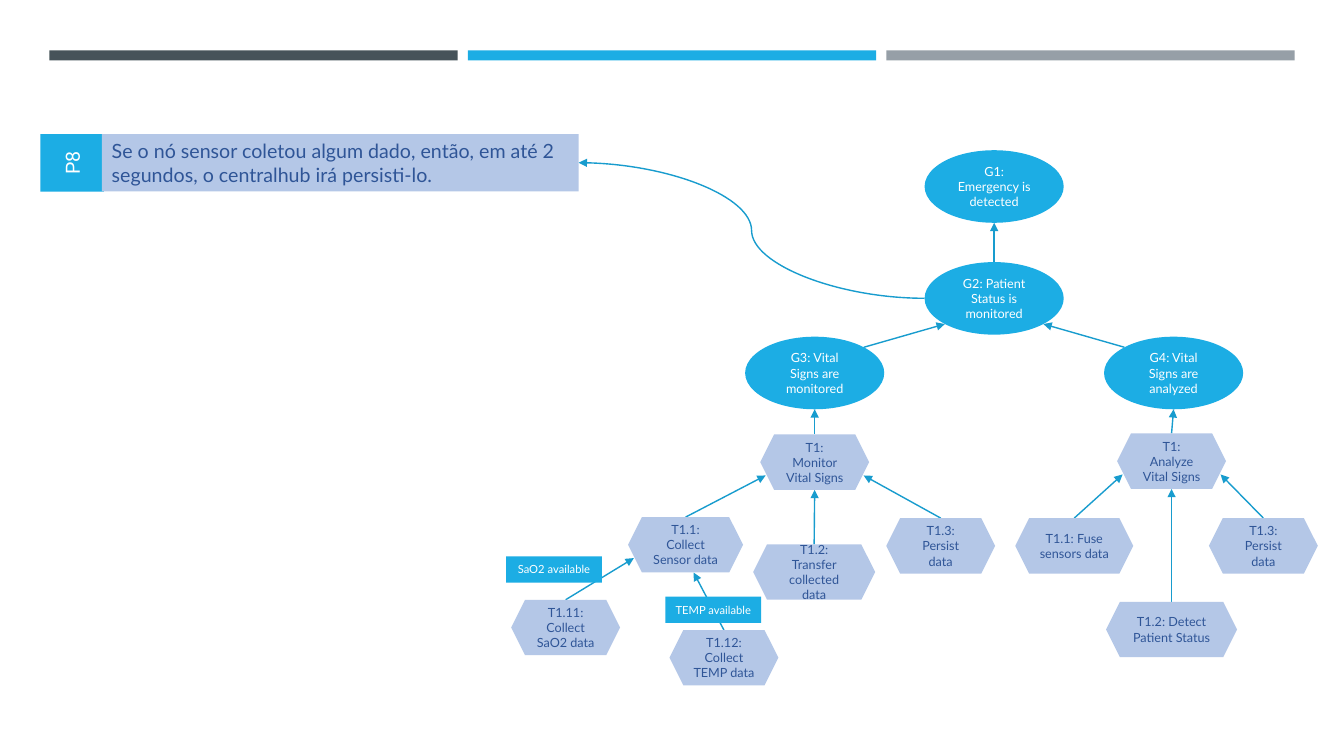
from lxml.etree import SubElement
from pptx import Presentation
from pptx.dml.color import RGBColor
from pptx.enum.shapes import MSO_CONNECTOR, MSO_SHAPE
from pptx.enum.text import MSO_ANCHOR, PP_ALIGN
from pptx.oxml.ns import qn
from pptx.util import Inches, Pt

HUES = {"blue": "1CADE4", "pale": "B4C7E7", "navy": "2F5597", "line": "189CCE",
        "white": "FFFFFF", "slate": "465359", "gray": "969FA7"}

GOAL, TASK = (1.38, 0.72), 0.55
NODES = {
    "detect": ("G1: Emergency is detected", 4.17, 0.49, None),
    "status": ("G2: Patient Status is monitored", 4.17, 1.6, None),
    "vitals": ("G3: Vital Signs are monitored", 2.39, 2.34, None),
    "study": ("G4: Vital Signs are analyzed", 5.95, 2.34, None),
    "watch": ("T1: Monitor Vital Signs", 2.54, 3.31, 1.08),
    "sensor": ("T1.1: Collect Sensor data", 1.23, 4.13, 1.14),
    "send": ("T1.2: Transfer collected data", 2.47, 4.4, 1.21),
    "store": ("T1.3: Persist data", 3.79, 4.14, 1.08),
    "oxygen": ("T1.11: Collect SaO2 data", 0.07, 4.95, 1.08),
    "temp": ("T1.12: Collect TEMP data", 1.64, 5.25, 1.08),
    "check": ("T1: Analyze Vital Signs", 6.08, 3.3, 1.08),
    "fuse": ("T1.1: Fuse sensors data", 5.07, 4.14, 1.17),
    "find": ("T1.2: Detect Patient Status", 5.97, 4.97, 1.3),
    "keep": ("T1.3: Persist data", 6.99, 4.14, 1.08),
}
SITES = {"top": (0.5, 0), "foot": (0.5, 1), "side": (0, 0.5),
         "low left": (0.05, 0.74), "low right": (0.95, 0.74), "near foot": (0.57, 1),
         "arc nw": (0.146, 0.146), "arc ne": (0.854, 0.146),
         "arc sw": (0.146, 0.854), "arc se": (0.854, 0.854)}
LINKS = [
    ("status", "top", "detect", "foot"),
    ("vitals", "arc ne", "status", "arc sw"),
    ("study", "arc nw", "status", "arc se"),
    ("watch", "top", "vitals", "foot"),
    ("sensor", "top", "watch", "low left"),
    ("send", "top", "watch", "foot"),
    ("store", "top", "watch", "low right"),
    ("oxygen", "top", "sensor", "low left"),
    ("temp", "top", "sensor", "near foot"),
    ("check", "top", "study", "foot"),
    ("fuse", "top", "check", "low left"),
    ("find", "top", "check", "foot"),
    ("keep", "top", "check", "low right"),
]
TAGS = [("SaO2 available", 0.02, 4.52), ("TEMP available", 1.6, 4.92)]


def tint(name):
    """Return the named colour."""
    return RGBColor.from_string(HUES[name])


def block(slide, kind, box, fill, text="", ink="white", size=9, face="Lato"):
    """Add a filled shape with optional centred text."""
    shape = slide.shapes.add_shape(kind, *map(Inches, box))
    shape.shadow.inherit = False
    shape.fill.solid()
    shape.fill.fore_color.rgb = tint(fill)
    shape.line.fill.background()
    if text:
        frame = shape.text_frame
        frame.word_wrap = True
        frame.vertical_anchor = MSO_ANCHOR.MIDDLE
        para = frame.paragraphs[0]
        para.text = text
        para.alignment = PP_ALIGN.CENTER
        para.font.size = Pt(size)
        para.font.name = face
        para.font.color.rgb = tint(ink)
    return shape


def arrow(slide, start, end, kind=MSO_CONNECTOR.STRAIGHT):
    """Add a connector with an arrowhead at its end."""
    link = slide.shapes.add_connector(kind, *map(Inches, (*start, *end)))
    link.line.color.rgb = tint("line")
    link.line.width = Pt(1)
    SubElement(link.line._get_or_add_ln(), qn("a:tailEnd"), type="triangle")
    SubElement(link._element.spPr, qn("a:effectLst"))
    return link


def bars(slide, left, top):
    """Draw the three bars across the head of the slide."""
    for i, hue in enumerate(("slate", "blue", "gray")):
        block(slide, MSO_SHAPE.RECTANGLE, (left + 4.15 * i, top, 4.05, 0.1), hue)


def rule(slide, left, top):
    """Draw the property label and its statement, and return the latter."""
    label = block(slide, MSO_SHAPE.RECTANGLE, (left, top - 0.03, 0.57, 0.63),
                  "blue", "P8", size=14, face="Roboto")
    label.rotation = 270
    words = block(slide, MSO_SHAPE.RECTANGLE, (left + 0.58, top, 4.73, 0.57), "pale",
                  "Se o nó sensor coletou algum dado, então, em até 2 segundos, "
                  "o centralhub irá persisti-lo.", "navy", 14)
    words.text_frame.paragraphs[0].alignment = PP_ALIGN.LEFT
    return words


def tree(slide, left, top):
    """Draw the goal tree and return the left point of the status goal."""
    def area(name):
        """Return the box of a node."""
        _, x, y, wide = NODES[name]
        return (left + x, top + y, *((wide, TASK) if wide else GOAL))

    def point(name, site):
        """Return a point on the edge of a node."""
        x, y, wide, high = area(name)
        across, down = SITES[site]
        return x + across * wide, y + down * high

    for child, start, parent, end in LINKS:
        arrow(slide, point(child, start), point(parent, end))
    for name, (text, _, _, wide) in NODES.items():
        if wide:
            block(slide, MSO_SHAPE.HEXAGON, area(name), "pale", text, "navy")
        else:
            block(slide, MSO_SHAPE.OVAL, area(name), "blue", text)
    for text, x, y in TAGS:
        block(slide, MSO_SHAPE.RECTANGLE, (left + x, top + y, 0.95, 0.26),
              "blue", text, size=8)
    return point("status", "side")


def main():
    """Build and save the slide."""
    deck = Presentation()
    deck.slide_width, deck.slide_height = Inches(13.33), Inches(7.5)
    slide = deck.slides.add_slide(deck.slide_layouts[6])
    bars(slide, 0.49, 0.5)
    words = rule(slide, 0.43, 1.33)
    start = tree(slide, 5, 1)
    curve = arrow(slide, start, (5.74, 1.62), MSO_CONNECTOR.CURVE)
    curve.end_connect(words, 3)
    deck.save("out.pptx")


if __name__ == "__main__":
    main()
